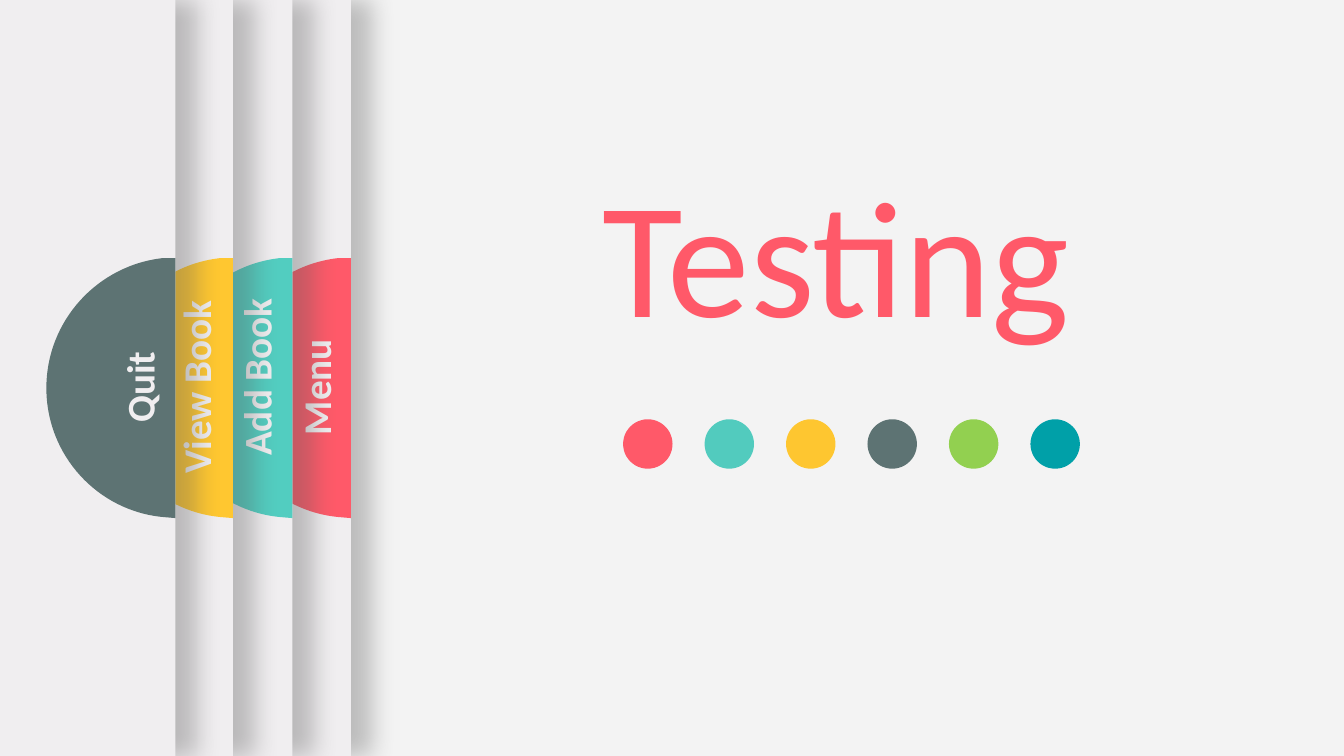
from lxml import etree
from pptx import Presentation
from pptx.dml.color import RGBColor
from pptx.enum.shapes import MSO_SHAPE
from pptx.enum.text import MSO_ANCHOR, MSO_AUTO_SIZE, PP_ALIGN
from pptx.oxml.ns import qn
from pptx.util import Inches, Pt

WIDTH, HEIGHT = 13.33, 7.5
RECTANGLE, OVAL = MSO_SHAPE.RECTANGLE, MSO_SHAPE.OVAL
CENTER, TOP = PP_ALIGN.CENTER, MSO_ANCHOR.TOP
NO_AUTOFIT = MSO_AUTO_SIZE.NONE

BACKGROUND, PANEL, SHADOW = "F3F3F3", "F0EEF0", "595959"
TITLE, TITLE_COLOR = "Testing", "FF5969"
DOT_COLORS = ["FF5969", "52CBBE", "FEC630", "5D7373", "92D050", "00A0A8"]
TABS = [
    {"label": "Menu", "color": "FF5969", "left": -10.17, "edge": 3.48, "center": (3.13, 3.84)},
    {"label": "Add Book", "color": "52CDC0", "left": -9.62, "edge": 2.9, "center": (2.54, 3.74)},
    {"label": "View Book", "color": "FFC730", "left": -8.58, "edge": 2.31, "center": (1.94, 3.84)},
    {"label": "Quit", "color": "5D7373", "left": -8.73, "edge": 1.74, "center": (1.38, 3.84)},
]

DOT_SIZE, DOT_TOP, FIRST_DOT, LAST_DOT = 0.49, 4.16, 6.18, 10.22
DOT_STEP = (LAST_DOT - FIRST_DOT) / (len(DOT_COLORS) - 1)
DISC_WIDTH, DISC_HEIGHT, DISC_TOP = 1.28, 2.58, 2.56
DISC_OUTLINE = [(1.28, 0), (1.28, 2.58), (1.16, 2.57), (0, 1.29), (1.16, 0)]
DISC_CURVES = [
    [(0.51, 2.51), (0, 1.96), (0, 1.29)],
    [(0, 0.62), (0.51, 0.07), (1.16, 0)],
]
LABEL_WIDTH, LABEL_HEIGHT = 2.18, 0.57


def rgb(color):
    return RGBColor.from_string(color)


def paint(shape, color):
    shape.fill.solid()
    shape.fill.fore_color.rgb = rgb(color)
    shape.line.fill.background()
    shape.shadow.inherit = False


def place(shape, left, top, width, height):
    shape.left, shape.top = Inches(left), Inches(top)
    shape.width, shape.height = Inches(width), Inches(height)


def write(shape, text, size, color, bold=False):
    frame = shape.text_frame
    frame.word_wrap = True
    frame.auto_size = NO_AUTOFIT
    frame.vertical_anchor = TOP
    paragraph = frame.paragraphs[0]
    paragraph.alignment = CENTER
    paragraph.line_spacing = 1.0
    run = paragraph.add_run()
    run.text = text
    run.font.name, run.font.size, run.font.bold = "Calibri", Pt(size), bold
    run.font.color.rgb = rgb(color)


def add_shape(shapes, kind, left, top, width, height, color):
    shape = shapes.add_shape(kind, Inches(left), Inches(top), Inches(width), Inches(height))
    paint(shape, color)
    return shape


def cast_shadow(shape):
    effects = shape._element.spPr.find(qn("a:effectLst"))
    shadow = etree.SubElement(effects, qn("a:outerShdw"), blurRad=str(Pt(17)),
                              dist=str(Pt(15)), dir="0", algn="l", rotWithShape="0")
    color = etree.SubElement(shadow, qn("a:srgbClr"), val=SHADOW)
    etree.SubElement(color, qn("a:alpha"), val="35000")


def add_half_disc(shapes, edge, color):
    points = [(Inches(edge - DISC_WIDTH + x), Inches(DISC_TOP + y)) for x, y in DISC_OUTLINE]
    builder = shapes.build_freeform(*points[0])
    builder.add_line_segments(points[1:], close=True)
    disc = builder.convert_to_shape()
    lines = list(disc._element.spPr.iter(qn("a:lnTo")))
    for line, curve in zip(lines[2:4], DISC_CURVES):
        bezier = etree.Element(qn("a:cubicBezTo"))
        for x, y in curve:
            etree.SubElement(bezier, qn("a:pt"), x=str(Inches(x)), y=str(Inches(y)))
        line.getparent().replace(line, bezier)
    paint(disc, color)


def add_tab(slide, label, color, left, edge, center):
    shapes = slide.shapes.add_group_shape().shapes
    cast_shadow(add_shape(shapes, RECTANGLE, left, 0, edge - left, HEIGHT, PANEL))
    add_half_disc(shapes, edge, color)
    box = shapes.add_textbox(0, 0, 0, 0)
    place(box, center[0] - LABEL_WIDTH / 2, center[1] - LABEL_HEIGHT / 2,
          LABEL_WIDTH, LABEL_HEIGHT)
    box.rotation = 270
    write(box, label, 28, PANEL, bold=True)


def main():
    presentation = Presentation()
    presentation.slide_width, presentation.slide_height = Inches(WIDTH), Inches(HEIGHT)
    slide = presentation.slides.add_slide(presentation.slide_layouts[5])
    slide.background.fill.solid()
    slide.background.fill.fore_color.rgb = rgb(BACKGROUND)

    place(slide.shapes.title, 4.31, 1.46, 7.96, 2.09)
    write(slide.shapes.title, TITLE, 118, TITLE_COLOR)

    dots = slide.shapes.add_group_shape().shapes
    for index, color in enumerate(DOT_COLORS):
        add_shape(dots, OVAL, FIRST_DOT + index * DOT_STEP, DOT_TOP, DOT_SIZE, DOT_SIZE, color)

    for tab in TABS:
        add_tab(slide, **tab)

    presentation.save("out.pptx")


if __name__ == "__main__":
    main()
